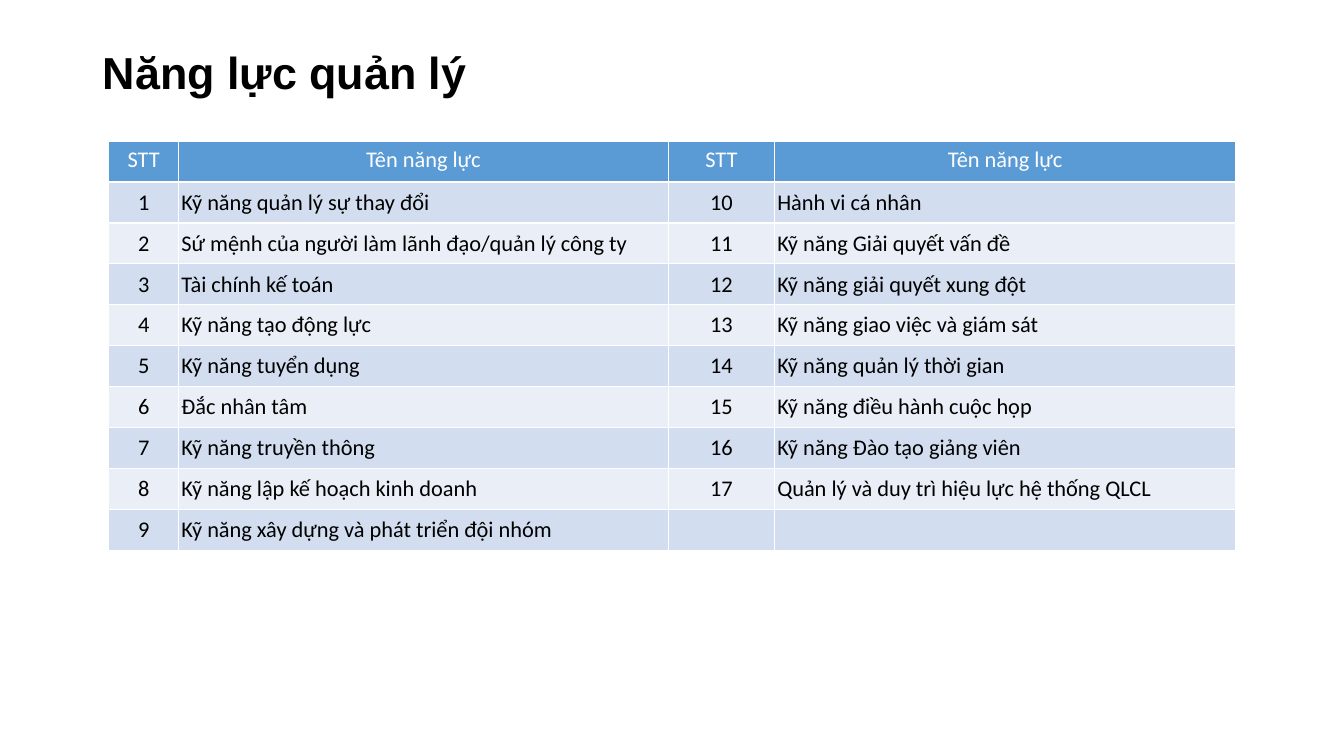
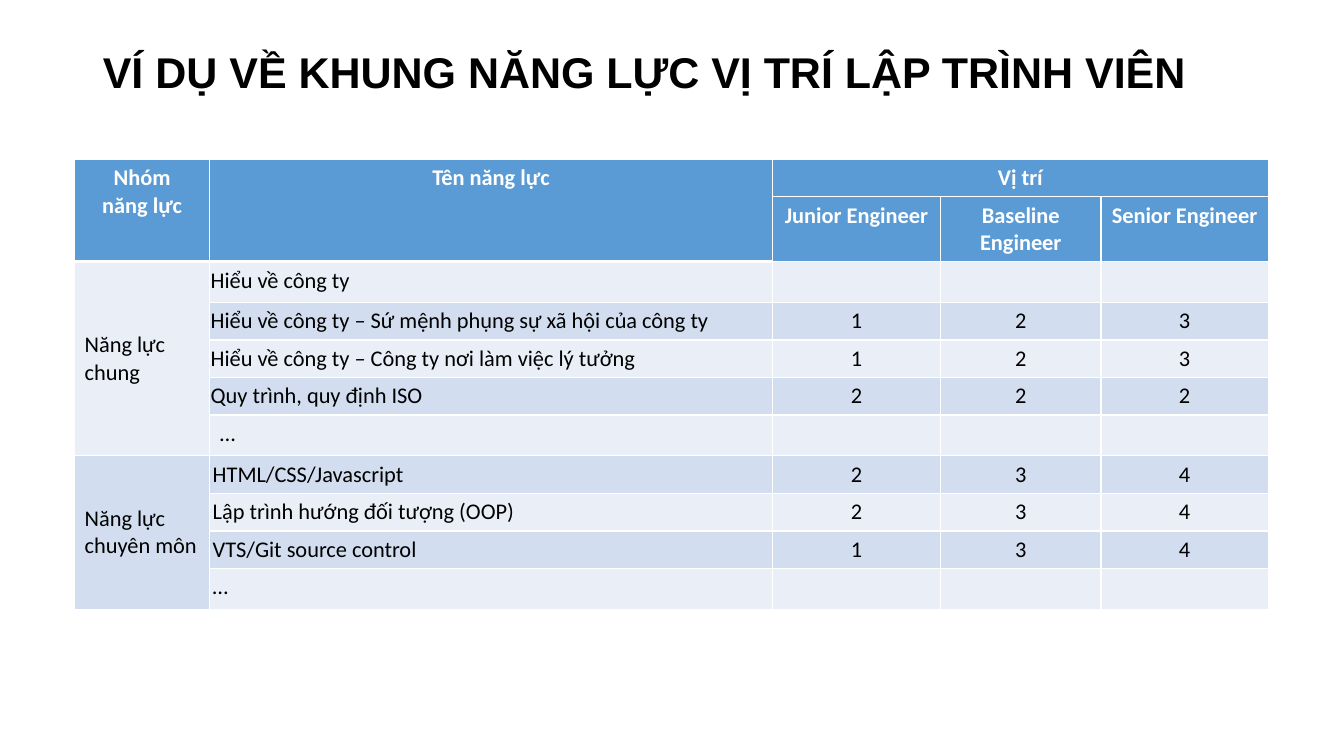
from itertools import zip_longest

from lxml import etree
from pptx import Presentation
from pptx.dml.color import RGBColor
from pptx.enum.text import MSO_ANCHOR, MSO_AUTO_SIZE, PP_ALIGN
from pptx.oxml.ns import qn
from pptx.util import Inches, Pt

LEFT, CENTER = PP_ALIGN.LEFT, PP_ALIGN.CENTER
MIDDLE = MSO_ANCHOR.MIDDLE
NO_AUTOFIT = MSO_AUTO_SIZE.NONE

BLACK = RGBColor(0x00, 0x00, 0x00)
WHITE = RGBColor(0xFF, 0xFF, 0xFF)
HEADER_BLUE = RGBColor(0x5B, 0x9B, 0xD5)
BAND_DARK = RGBColor(0xD2, 0xDE, 0xEF)
BAND_LIGHT = RGBColor(0xEA, 0xEF, 0xF7)

TITLE_FONT, TABLE_FONT = "Arial", "Calibri"
TABLE_SIZE = 16
TITLE_ONLY_LAYOUT = 5
THIN, THICK = 1, 3

MANAGEMENT_SKILLS = [
    "Kỹ năng quản lý sự thay đổi",
    "Sứ mệnh của người làm lãnh đạo/quản lý công ty",
    "Tài chính kế toán",
    "Kỹ năng tạo động lực",
    "Kỹ năng tuyển dụng",
    "Đắc nhân tâm",
    "Kỹ năng truyền thông",
    "Kỹ năng lập kế hoạch kinh doanh",
    "Kỹ năng xây dựng và phát triển đội nhóm",
    "Hành vi cá nhân",
    "Kỹ năng Giải quyết vấn đề",
    "Kỹ năng giải quyết xung đột",
    "Kỹ năng giao việc và giám sát",
    "Kỹ năng quản lý thời gian",
    "Kỹ năng điều hành cuộc họp",
    "Kỹ năng Đào tạo giảng viên",
    "Quản lý và duy trì hiệu lực hệ thống QLCL",
]
SKILLS_PER_COLUMN = 9

FRAMEWORK_ROWS = [
    ("Nhóm\nnăng lực", "Tên năng lực", "Vị trí", "", ""),
    ("", "", "Junior Engineer", "Baseline Engineer", "Senior Engineer"),
    ("Năng lực chung", "Hiểu về công ty", "", "", ""),
    ("", "Hiểu về công ty – Sứ mệnh phụng sự xã hội của công ty", "1", "2", "3"),
    ("", "Hiểu về công ty – Công ty nơi làm việc lý tưởng", "1", "2", "3"),
    ("", "Quy trình, quy định ISO", "2", "2", "2"),
    ("", "…", "", "", ""),
    ("Năng lực chuyên môn", "HTML/CSS/Javascript", "2", "3", "4"),
    ("", "Lập trình hướng đối tượng (OOP)", "2", "3", "4"),
    ("", "VTS/Git source control", "1", "3", "4"),
    ("", "…", "", "", ""),
]
# First and last cell of each merged area, as (row, column)
FRAMEWORK_SPANS = [
    ((0, 0), (1, 0)), ((0, 1), (1, 1)), ((0, 2), (0, 4)),
    ((2, 0), (6, 0)), ((7, 0), (10, 0)),
]


def apply(target, formats):
    for name, value in formats.items():
        setattr(target, name, value)


def style_font(font, name, size, color, bold):
    apply(font, {"name": name, "size": Pt(size), "bold": bold})
    font.color.rgb = color


def add_titled_slide(prs, title, width, size):
    slide = prs.slides.add_slide(prs.slide_layouts[TITLE_ONLY_LAYOUT])
    heading = slide.shapes.title
    apply(heading, {"left": Inches(0.92), "top": Inches(0.4),
                    "width": Inches(width), "height": Inches(0.68)})
    frame = heading.text_frame
    frame.text = title
    apply(frame, {"auto_size": NO_AUTOFIT, "word_wrap": True,
                  "vertical_anchor": MIDDLE})
    paragraph = frame.paragraphs[0]
    apply(paragraph, {"alignment": LEFT, "line_spacing": 0.9})
    style_font(paragraph.runs[0].font, TITLE_FONT, size, BLACK, True)
    return slide


def set_borders(cell, top=THIN, bottom=THIN):
    """Draw white lines round a cell; call before its fill is set."""
    properties = cell._tc.get_or_add_tcPr()
    for side, points in (("L", THIN), ("R", THIN), ("T", top), ("B", bottom)):
        line = etree.SubElement(properties, qn(f"a:ln{side}"), w=str(Pt(points)))
        fill = etree.SubElement(line, qn("a:solidFill"))
        etree.SubElement(fill, qn("a:srgbClr"), val=str(WHITE))


def set_insets(cell, side, end):
    apply(cell, {"margin_left": Inches(side), "margin_right": Inches(side),
                 "margin_top": Inches(end), "margin_bottom": Inches(end)})


def fill_cell(cell, text, color, font_color, bold, alignment):
    cell.fill.solid()
    cell.fill.fore_color.rgb = color
    cell.text = text
    for paragraph in cell.text_frame.paragraphs:
        paragraph.alignment = alignment
        for run in paragraph.runs:
            style_font(run.font, TABLE_FONT, TABLE_SIZE, font_color, bold)


def add_banded_table(slide, left, top, widths, heights, rows, left_columns,
                     header_rows=1, header_bold=False, thick_columns=()):
    """Add a table whose body is centred except in left_columns.

    The line under the header is thick in thick_columns.
    """
    table = slide.shapes.add_table(
        len(rows), len(widths), Inches(left), Inches(top),
        Inches(sum(widths)), Inches(sum(heights))).table
    for column, width in zip(table.columns, widths):
        column.width = Inches(width)
    for row, height in zip(table.rows, heights):
        row.height = Inches(height)
    for r, texts in enumerate(rows):
        is_header = r < header_rows
        for c, text in enumerate(texts):
            cell = table.cell(r, c)
            heavy = THICK if c in thick_columns else THIN
            set_borders(cell, top=heavy if r == header_rows else THIN,
                        bottom=heavy if is_header else THIN)
            if is_header:
                fill_cell(cell, text, HEADER_BLUE, WHITE, header_bold, CENTER)
            else:
                fill_cell(cell, text, BAND_DARK if r % 2 else BAND_LIGHT,
                          BLACK, False, LEFT if c in left_columns else CENTER)
    return table


def build_management_slide(prs):
    slide = add_titled_slide(prs, "Năng lực quản lý", 11.5, 32)
    numbered = [(str(n), skill) for n, skill in enumerate(MANAGEMENT_SKILLS, 1)]
    pairs = zip_longest(numbered[:SKILLS_PER_COLUMN],
                        numbered[SKILLS_PER_COLUMN:], fillvalue=("", ""))
    rows = [("STT", "Tên năng lực") * 2] + [first + second for first, second in pairs]
    table = add_banded_table(slide, 1.08, 1.4, [0.69, 4.86, 1.05, 4.58],
                             [0.406] * len(rows), rows, left_columns=(1, 3))
    for r in range(1, len(rows)):
        for c in range(4):
            cell = table.cell(r, c)
            set_insets(cell, 0.03, 0.02)
            cell.vertical_anchor = MIDDLE


def build_framework_slide(prs):
    slide = add_titled_slide(
        prs, "VÍ DỤ VỀ KHUNG NĂNG LỰC VỊ TRÍ LẬP TRÌNH VIÊN", 12.23, 30.7)
    plain, tall = 0.37, 0.4
    heights = [plain, 0.63, tall, plain, plain, plain, tall,
               plain, plain, plain, tall]
    table = add_banded_table(
        slide, 0.74, 1.58, [1.34, 5.58, 1.67, 1.59, 1.66], heights,
        FRAMEWORK_ROWS, left_columns=(0, 1), header_rows=2, header_bold=True,
        thick_columns=(0, 1))
    for first, last in FRAMEWORK_SPANS:
        table.cell(*first).merge(table.cell(*last))
    for group_row in (2, 7):
        table.cell(group_row, 0).vertical_anchor = MIDDLE
    for side, skill_rows in ((0.01, range(2, 6)), (0.03, range(7, 11))):
        for r in skill_rows:
            set_insets(table.cell(r, 1), side, 0.05)


def main():
    prs = Presentation()
    apply(prs, {"slide_width": Inches(13.33), "slide_height": Inches(7.5)})
    build_management_slide(prs)
    build_framework_slide(prs)
    prs.save("out.pptx")


if __name__ == "__main__":
    main()
